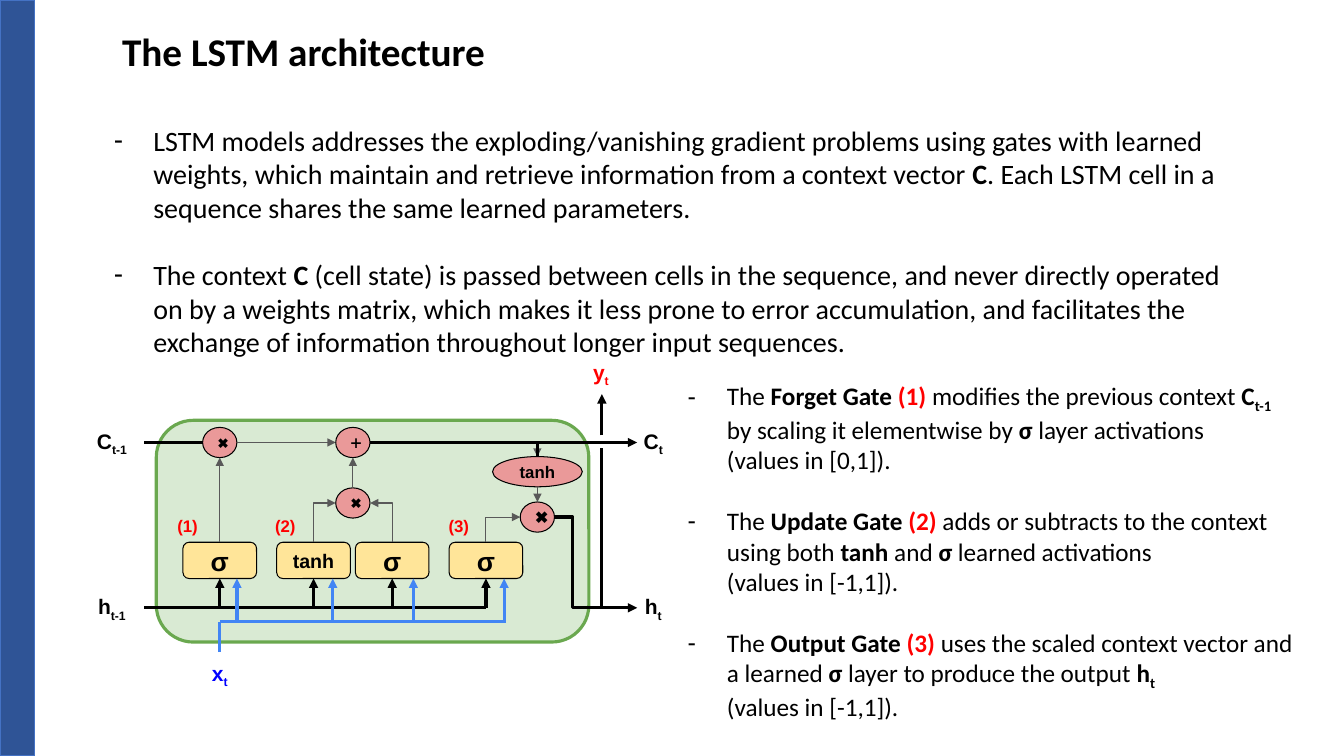
from lxml.etree import SubElement
from pptx import Presentation
from pptx.dml.color import RGBColor
from pptx.enum.shapes import MSO_CONNECTOR as Link, MSO_SHAPE as Shape
from pptx.enum.text import MSO_ANCHOR as Anchor, MSO_AUTO_SIZE as AutoSize, PP_ALIGN as Align
from pptx.oxml.ns import qn
from pptx.util import Inches, Pt

# Content: runs are (text, style); styles: b bold, r bold red, s bold subscript
TITLE = "The LSTM architecture"
OVERVIEW = [
    [("LSTM models addresses the exploding/vanishing gradient problems using gates with learned "
      "weights, which maintain and retrieve information from a context vector ", ""), ("C", "b"),
     (". Each LSTM cell in a sequence shares the same learned parameters.", "")],
    [("The context ", ""), ("C", "b"),
     (" (cell state) is passed between cells in the sequence, and never directly operated on by a "
      "weights matrix, which makes it less prone to error accumulation, and facilitates the "
      "exchange of information throughout longer input sequences.", "")],
]
GATE_NOTES = [
    [("The ", ""), ("Forget Gate ", "b"), ("(1)", "r"), (" modifies the previous context ", ""),
     ("C", "b"), ("t-1", "s"), (" by scaling it elementwise by ", ""), ("σ", "b"),
     (" layer activations", ""), ("\n", ""), ("(values in [0,1]).", "")],
    [("The ", ""), ("Update Gate ", "b"), ("(2)", "r"),
     (" adds or subtracts to the context using both ", ""), ("tanh", "b"), (" and ", ""),
     ("σ", "b"), (" learned activations", ""), ("\n", ""), ("(values in [-1,1]).", "")],
    [("The ", ""), ("Output Gate ", "b"), ("(3) ", "r"),
     ("uses the scaled context vector and a learned ", ""), ("σ", "b"),
     (" layer to produce the output ", ""), ("h", "b"), ("t", "s"), ("\n", ""),
     ("(values in [-1,1]).", "")],
]
COLORS = {"bar": "2F5496", "bar_line": "4472C4", "cell": "D9EAD3", "cell_line": "6AA84F",
          "operator": "EA9999", "gate": "FFE599", "black": "000000", "gray": "595959",
          "red": "FF0000", "blue": "0000FF", "input": "4285F4"}

# Diagram grid in inches: rows run down, columns run across
WIDTH, HEIGHT = 13.33, 7.5
C_ROW, TANH_ROW, MIX_ROW, OUT_ROW, H_ROW, X_ROW = 4.39, 4.68, 4.99, 5.13, 6.03, 6.17
GATE_TOP, GATE_WIDTH, GATE_HEIGHT = 5.38, 0.73, 0.36
GATE_BOTTOM = GATE_TOP + GATE_HEIGHT
FORGET, UPDATE, MIX, SCALE, OUTPUT = 2.18, 3.11, 3.5, 3.89, 4.82
LEFT, TANH, TURN, Y_COLUMN, RIGHT = 1.43, 5.33, 5.68, 5.97, 6.32
NODE_WIDTH, NODE_HEIGHT = 0.34, 0.3
RX, RY = NODE_WIDTH / 2, NODE_HEIGHT / 2

GATES = [(FORGET, "σ", 19, 2.35), (UPDATE, "tanh", 14, 3.3),
         (SCALE, "σ", 19, 4.1), (OUTPUT, "σ", 19, 5.0)]  # column, text, size, input column
OPERATORS = [(MIX, MIX_ROW, NODE_WIDTH, "✖", 10, ""), (MIX, C_ROW, NODE_WIDTH, "➕", 10, "b"),
             (FORGET, C_ROW, NODE_WIDTH, "✖", 10, ""), (TANH, TANH_ROW, 0.89, "tanh", 12, "b"),
             (TANH, OUT_ROW, NODE_WIDTH, "✖", 12, "")]
SIGNALS = [("C", "t-1", 1.11, C_ROW, "black"), ("h", "t-1", 1.11, H_ROW, "black"),
           ("C", "t", 6.48, C_ROW, "black"), ("h", "t", 6.48, H_ROW, "black"),
           ("x", "t", FORGET, 6.69, "blue"), ("y", "t", 5.96, 3.7, "red")]
GATE_NUMBERS = [("(1)", 1.66), ("(2)", 2.63), ("(3)", 4.35)]
THIN, THICK = 0.75, 2.25
# Straight lines: start, end, colour, width, arrow
LINES = [
    ((LEFT, C_ROW), (FORGET - RX, C_ROW), "black", THICK, False),
    ((MIX + RX, C_ROW), (Y_COLUMN, C_ROW), "black", THICK, False),
    ((Y_COLUMN, C_ROW), (RIGHT, C_ROW), "black", THICK, True),
    ((Y_COLUMN, H_ROW), (RIGHT, H_ROW), "black", THICK, True),
    ((Y_COLUMN, H_ROW), (Y_COLUMN, C_ROW + 0.05), "black", THICK, False),
    ((Y_COLUMN, C_ROW - 0.07), (Y_COLUMN, 3.91), "black", THICK, True),
    ((FORGET + RX, C_ROW), (MIX - RX, C_ROW), "gray", THIN, True),
    ((FORGET, GATE_TOP), (FORGET, C_ROW + RY), "gray", THIN, True),
    ((MIX, MIX_ROW - RY), (MIX, C_ROW + RY), "gray", THIN, True),
    ((TANH, C_ROW + 0.05), (TANH, TANH_ROW - RY), "gray", THIN, True),
    ((TANH, TANH_ROW + RY), (TANH, OUT_ROW - RY), "gray", THIN, True),
    ((FORGET, 6.47), (FORGET, X_ROW), "input", THICK, False),
    ((FORGET, X_ROW), (5.02, X_ROW), "input", THICK, False),
    ((LEFT, H_ROW), (OUTPUT, H_ROW), "black", THICK, False),
]
for column, _, _, input_column in GATES:
    LINES += [((input_column, X_ROW), (input_column, GATE_BOTTOM), "input", THICK, True),
              ((column, H_ROW), (column, GATE_BOTTOM), "black", THICK, True)]
# Corner lines leave the first point sideways; the arrow points at it
CORNERS = [((MIX - RX, MIX_ROW), (UPDATE, GATE_TOP), "gray", THIN, True),
           ((MIX + RX, MIX_ROW), (SCALE, GATE_TOP), "gray", THIN, True),
           ((TANH - RX, OUT_ROW), (OUTPUT, GATE_TOP), "gray", THIN, True),
           ((MIX + RX, C_ROW), (TANH, TANH_ROW - RY), "black", THICK, False)]


def color(name):
    return RGBColor.from_string(COLORS[name])


def write(paragraph, runs, size, font, ink="black"):
    for text, style in runs:
        if text == "\n":
            paragraph.add_line_break()
            continue
        run = paragraph.add_run()
        run.text = text
        run.font.name, run.font.size, run.font.bold = font, Pt(size), style != ""
        run.font.color.rgb = color("red" if style == "r" else ink)
        if style == "s":
            run.font._element.set("baseline", "-25000")


def set_frame(shape, anchor=Anchor.MIDDLE, inset=0.1):
    frame = shape.text_frame
    frame.word_wrap, frame.auto_size, frame.vertical_anchor = True, AutoSize.NONE, anchor
    frame.margin_left = frame.margin_right = Inches(0.1)
    frame.margin_top = frame.margin_bottom = Inches(inset)
    return frame


def place(shape, left, top, width, height):
    shape.left, shape.top = Inches(left), Inches(top)
    shape.width, shape.height = Inches(width), Inches(height)


def indent(paragraph, margin, first):
    properties = paragraph._p.get_or_add_pPr()
    properties.set("marL", str(Inches(margin)))
    properties.set("indent", str(Inches(first)))
    return properties


def fill_list(placeholder, box, items, size, gap):
    place(placeholder, *box)
    frame = set_frame(placeholder, Anchor.TOP)
    for number, runs in enumerate(items):
        paragraph = frame.add_paragraph() if number else frame.paragraphs[0]
        paragraph.space_before = Pt(gap if number else 0)
        SubElement(indent(paragraph, 0.5, -0.39), qn("a:buChar")).set("char", "-")
        write(paragraph, runs, size, "Calibri")


def add_block(kind, box, fill, line, width):
    shape = slide.shapes.add_shape(kind, *map(Inches, box))
    shape.shadow.inherit = False
    shape.fill.solid()
    shape.fill.fore_color.rgb = color(fill)
    shape.line.color.rgb = color(line)
    shape.line.width = Pt(width)
    return shape


def add_label(shape, runs, size, ink="black"):
    paragraph = set_frame(shape).paragraphs[0]
    paragraph.alignment = Align.CENTER
    write(paragraph, runs, size, "Arial", ink)


def add_line(start, end, ink, width, arrow, kind=Link.STRAIGHT, arrow_end="a:tailEnd"):
    connector = slide.shapes.add_connector(kind, *map(Inches, start + end))
    connector.line.color.rgb = color(ink)
    connector.line.width = Pt(width)
    if arrow:
        SubElement(connector.line._get_or_add_ln(), qn(arrow_end)).set("type", "triangle")
    SubElement(connector._element.spPr, qn("a:effectLst"))
    return connector._element.spPr.find(qn("a:prstGeom"))


presentation = Presentation()
presentation.slide_width, presentation.slide_height = Inches(WIDTH), Inches(HEIGHT)
slide = presentation.slides.add_slide(presentation.slide_layouts[3])
title, overview, gate_notes = slide.placeholders

# Side bar, title and lists
add_block(Shape.RECTANGLE, (0, 0, 0.34, HEIGHT), "bar", "bar_line", 1)
place(title, 0.92, 0.27, 11.5, 0.87)
heading = set_frame(title, Anchor.TOP, 0.05).paragraphs[0]
heading.alignment, heading.line_spacing = Align.LEFT, 0.9
indent(heading, 0.25, -0.06)
write(heading, [(TITLE, "b")], 28, "Calibri")
fill_list(overview, (0.92, 1.12, 11.5, 2.56), OVERVIEW, 20, 24)
fill_list(gate_notes, (6.61, 3.67, 6.32, 3.54), GATE_NOTES, 18, 22)

# Cell, operators and gates
add_block(Shape.ROUNDED_RECTANGLE, (1.55, 4.17, 4.29, 2.2), "cell", "cell_line", THICK)
for column, row, width, text, size, style in OPERATORS:
    box = (column - width / 2, row - RY, width, NODE_HEIGHT)
    add_label(add_block(Shape.OVAL, box, "operator", "black", THIN), [(text, style)], size)
for column, text, size, _ in GATES:
    box = (column - GATE_WIDTH / 2, GATE_TOP, GATE_WIDTH, GATE_HEIGHT)
    add_label(add_block(Shape.ROUNDED_RECTANGLE, box, "gate", "black", THIN), [(text, "b")], size)

# Connections
for line in LINES:
    add_line(*line)
for corner in CORNERS:
    add_line(*corner, Link.ELBOW, "a:headEnd").set("prst", "bentConnector2")
output_path = add_line((TANH + RX, OUT_ROW), (6.24, H_ROW), "black", THICK, False, Link.ELBOW)
turn = SubElement(output_path.find(qn("a:avLst")), qn("a:gd"))
turn.set("name", "adj1")
turn.set("fmla", f"val {round((TURN - TANH - RX) / (6.24 - TANH - RX) * 100000)}")

# Signal names and gate numbers
for letter, index, column, row, ink in SIGNALS:
    box = slide.shapes.add_textbox(*map(Inches, (column - 0.33, row - 0.21, 0.66, 0.43)))
    add_label(box, [(letter, "b"), (index, "s")], 15, ink)
for text, left in GATE_NUMBERS:
    box = slide.shapes.add_textbox(*map(Inches, (left, 5.02, 0.62, 0.4)))
    write(set_frame(box, Anchor.TOP).paragraphs[0], [(text, "r")], 12, "Arial")

presentation.save("out.pptx")
